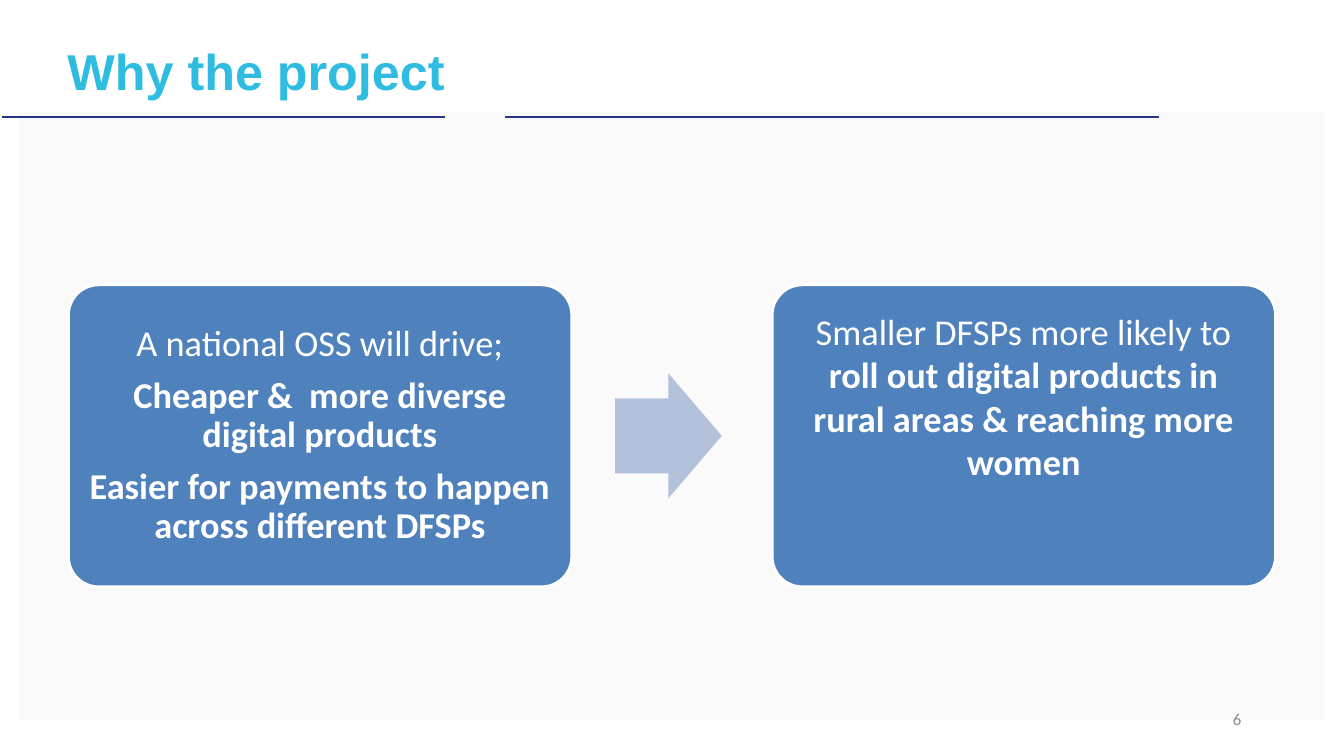
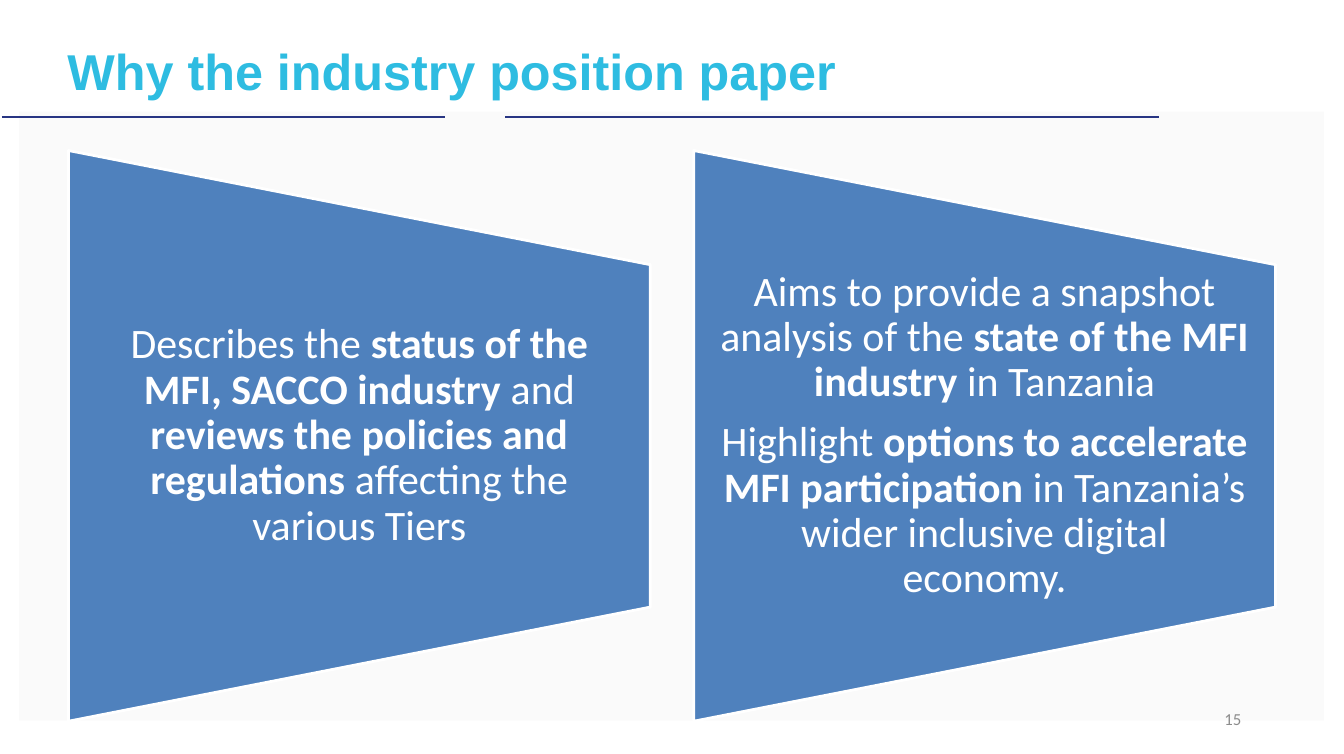
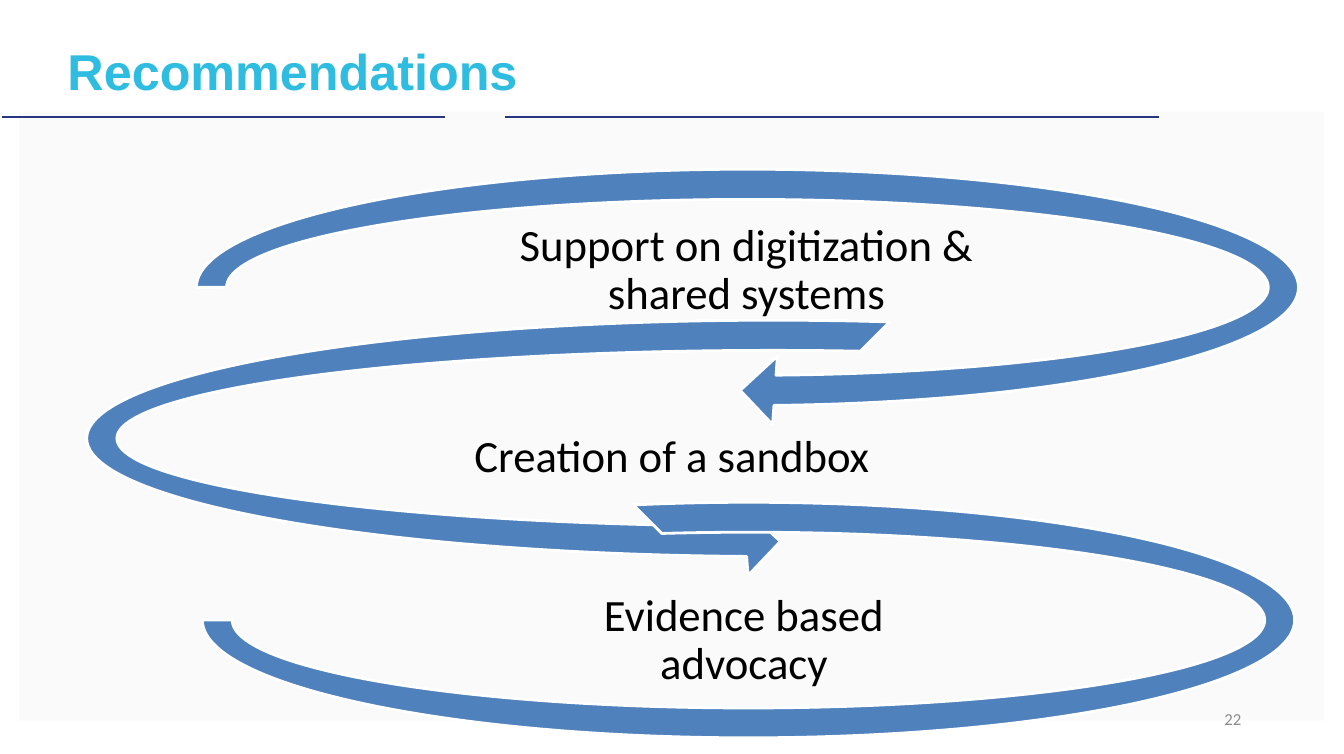
from dataclasses import dataclass

from lxml.etree import SubElement
from pptx import Presentation
from pptx.dml.color import RGBColor
from pptx.enum.shapes import MSO_CONNECTOR, MSO_SHAPE
from pptx.enum.text import MSO_ANCHOR, MSO_AUTO_SIZE, PP_ALIGN
from pptx.oxml.ns import qn
from pptx.util import Inches, Pt


@dataclass(frozen=True)
class Theme:
    heading: str = "2EBCE1"
    rule: str = "283583"
    panel: str = "F6F6F6"
    accent: str = "4F81BD"
    arrow: str = "B3C1DB"
    white: str = "FFFFFF"
    black: str = "000000"
    muted: str = "8C8C8C"
    heading_font: str = "Arial"
    body_font: str = "Calibri"
    heading_size: int = 36
    card_size: int = 26
    trapezoid_size: int = 30
    loop_size: int = 32
    number_size: int = 12
    outline: float = 2
    rule_width: float = 1.5


THEME = Theme()


def color(code):
    return RGBColor.from_string(code)


def box(left, top, width, height):
    return [Inches(value) for value in (left, top, width, height)]


# Text: *asterisks* enclose bold words
def write_text(frame, *paragraphs, size, ink=THEME.white, font=THEME.body_font,
               bold=False, align=PP_ALIGN.CENTER, anchor=MSO_ANCHOR.MIDDLE,
               spacing=0.9, insets=(0, 0, 0, 0)):
    frame.word_wrap = True
    frame.auto_size = MSO_AUTO_SIZE.NONE
    frame.vertical_anchor = anchor
    (frame.margin_left, frame.margin_top,
     frame.margin_right, frame.margin_bottom) = [Inches(inset) for inset in insets]
    for index, content in enumerate(paragraphs):
        paragraph = frame.add_paragraph() if index else frame.paragraphs[0]
        paragraph.alignment = align
        paragraph.line_spacing = spacing
        paragraph.space_before = Pt(0)
        if index < len(paragraphs) - 1:
            paragraph.space_after = Pt(0.35 * size)
        for position, words in enumerate(content.split("*")):
            if words:
                run = paragraph.add_run()
                run.text = words
                run.font.name = font
                run.font.size = Pt(size)
                run.font.bold = bold or position % 2 == 1
                run.font.color.rgb = color(ink)


def add_text(slide, place, *paragraphs, **style):
    label = slide.shapes.add_textbox(*box(*place))
    write_text(label.text_frame, *paragraphs, **style)


# Shapes and lines
def add_figure(slide, kind, place, fill=THEME.accent, outline=THEME.white,
               adjustments=(), rotation=0):
    figure = slide.shapes.add_shape(kind, *box(*place))
    figure.shadow.inherit = False
    figure.rotation = rotation
    figure.fill.solid()
    figure.fill.fore_color.rgb = color(fill)
    if outline:
        figure.line.color.rgb = color(outline)
        figure.line.width = Pt(THEME.outline)
    else:
        figure.line.fill.background()
    for index, value in enumerate(adjustments):
        figure.adjustments[index] = value
    return figure


def add_rule(slide, start, end, height):
    rule = slide.shapes.add_connector(
        MSO_CONNECTOR.STRAIGHT, Inches(start), Inches(height), Inches(end), Inches(height))
    rule.line.color.rgb = color(THEME.rule)
    rule.line.width = Pt(THEME.rule_width)
    SubElement(rule.element.spPr, qn("a:effectLst"))
    return rule


# Shared layout: heading position, pale panel and two rules
def prepare_layout(slide):
    layout = slide.slide_layout
    heading, *footers = list(layout.placeholders)
    for footer in footers:
        layout.shapes.element.remove(footer.element)
    heading.left, heading.top, heading.width, heading.height = box(0.67, 0.24, 10.83, 0.92)

    panel = add_figure(slide, MSO_SHAPE.RECTANGLE, (0.19, 1.11, 12.96, 6.05),
                       fill=THEME.panel, outline=None)
    tint = next(panel.element.spPr.iter(qn("a:srgbClr")))
    SubElement(tint, qn("a:alpha"), val="50000")
    rules = [add_rule(slide, start, end, 1.16) for start, end in ((0.02, 4.42), (5.02, 11.51))]
    for depth, part in enumerate([panel, *rules], start=2):
        layout.shapes.element.insert(depth, part.element)


def start_slide(deck, heading, number):
    slide = deck.slides.add_slide(deck.slide_layouts[5])
    if len(deck.slides) == 1:
        prepare_layout(slide)
    write_text(slide.shapes.title.text_frame, heading, size=THEME.heading_size,
               ink=THEME.heading, font=THEME.heading_font, bold=True,
               align=PP_ALIGN.LEFT, spacing=1)
    add_text(slide, (9.43, 6.94, 3, 0.4), str(number), size=THEME.number_size,
             ink=THEME.muted, align=PP_ALIGN.RIGHT, spacing=1, insets=(0.1, 0.05, 0.1, 0.05))
    return slide


# Slide contents
def add_card(slide, left, *paragraphs, **style):
    card = add_figure(slide, MSO_SHAPE.ROUNDED_RECTANGLE, (left, 2.83, 5, 3), adjustments=[0.1])
    write_text(card.text_frame, *paragraphs, size=THEME.card_size, **style)


def add_trapezoid(slide, left, *paragraphs):
    # Turned a quarter, so its height becomes the visible width
    width, height, center = 5.78, 5.67, 4.33
    add_figure(slide, MSO_SHAPE.FLOWCHART_MANUAL_OPERATION,
               (left + (width - height) / 2, center - width / 2, height, width), rotation=270)
    add_text(slide, (left, center - 1.7, width, 3.4), *paragraphs,
             size=THEME.trapezoid_size, insets=(0.21, 0, 0.21, 0))


def add_loop(slide, kind, place, adjustments, label, label_place):
    add_figure(slide, kind, place, adjustments=adjustments)
    add_text(slide, label_place, label, size=THEME.loop_size, ink=THEME.black,
             insets=(0.02,) * 4)


def build_project(deck):
    slide = start_slide(deck, "Why the project", 6)
    add_card(slide, 0.68, "A national OSS will drive;",
             "*Cheaper &  more diverse digital products*",
             "*Easier for payments to happen across different DFSPs*",
             insets=(0.11,) * 4)
    add_figure(slide, MSO_SHAPE.RIGHT_ARROW, (6.11, 3.71, 1.06, 1.24),
               fill=THEME.arrow, outline=None, adjustments=[0.6, 0.5])
    add_card(slide, 7.67,
             "Smaller DFSPs more likely to "
             "*roll out digital products in rural areas & reaching more women*",
             anchor=MSO_ANCHOR.TOP, spacing=1, insets=(0.11, 0.15, 0.11, 0.11))


def build_position_paper(deck):
    slide = start_slide(deck, "Why the industry position paper", 15)
    add_trapezoid(slide, 0.68,
                  "Describes the *status of the MFI, SACCO industry* and "
                  "*reviews the policies and regulations* affecting the various Tiers")
    add_trapezoid(slide, 6.89,
                  "Aims to provide a snapshot analysis of the "
                  "*state of the MFI industry* in Tanzania",
                  "Highlight *options to accelerate MFI participation* in "
                  "Tanzania’s wider inclusive digital economy.")


def build_recommendations(deck):
    slide = start_slide(deck, "Recommendations", 22)
    loops = [
        (MSO_SHAPE.CIRCULAR_ARROW, (1.76, 1.49, 11.33, 2.73), (0.11, 11.42, 45, 108, 0.125),
         "Support on digitization & shared systems", (4.92, 1.91, 4.99, 1.56)),
        (MSO_SHAPE.LEFT_CIRCULAR_ARROW, (0.67, 2.99, 14.02, 2.73), (0.11, 11.42, 63, 189, 0.125),
         "Creation of a sandbox", (4.57, 3.99, 4.21, 1.12)),
        (MSO_SHAPE.BLOCK_ARC, (2.01, 4.99, 10.85, 2.34), (135, 108, 0.127),
         "Evidence based advocacy", (5.67, 5.8, 3.44, 1.13)),
    ]
    for loop in loops:
        add_loop(slide, *loop)


def main():
    deck = Presentation()
    deck.slide_width, deck.slide_height = Inches(13.35), Inches(7.49)
    build_project(deck)
    build_position_paper(deck)
    build_recommendations(deck)
    deck.save("out.pptx")


if __name__ == "__main__":
    main()
